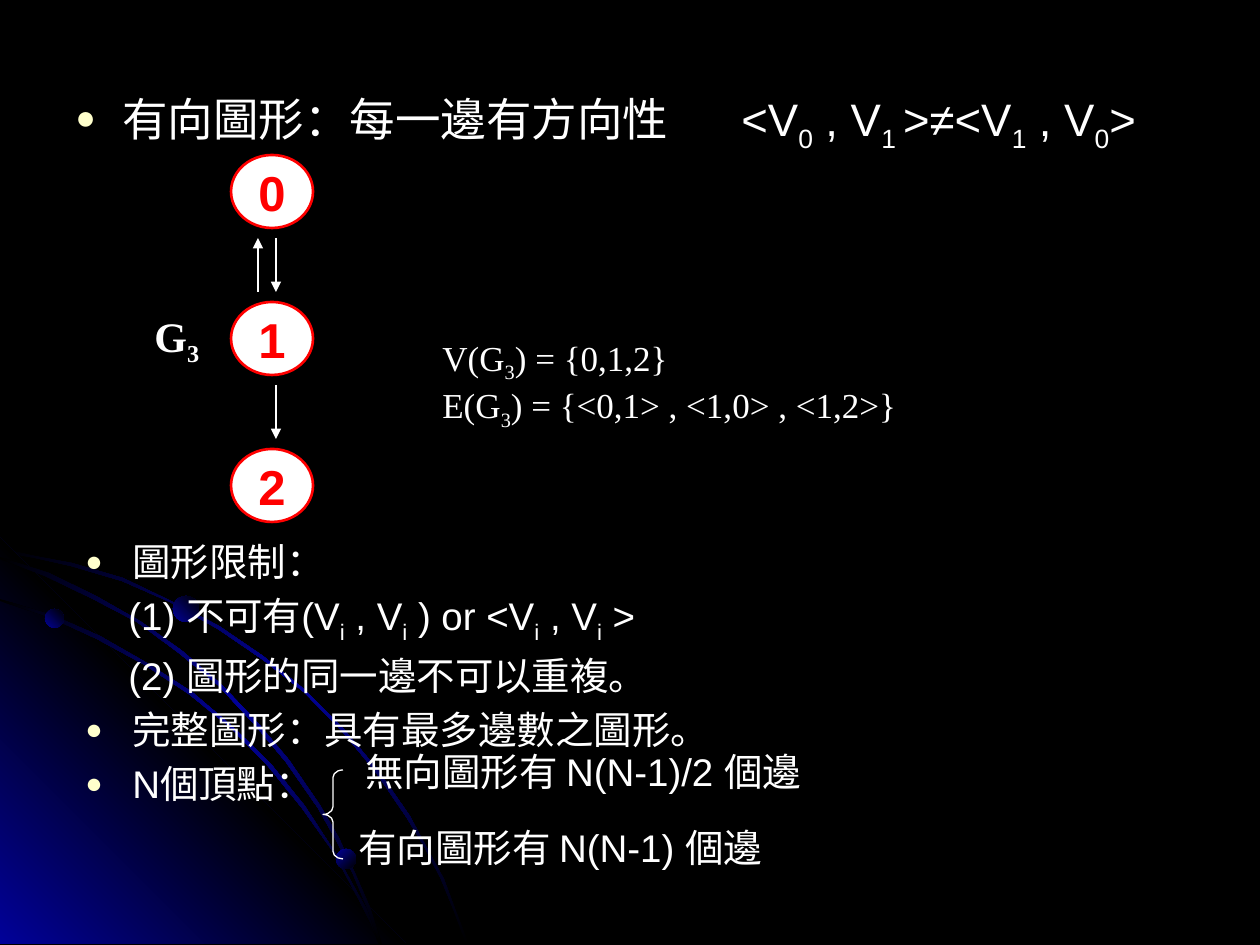
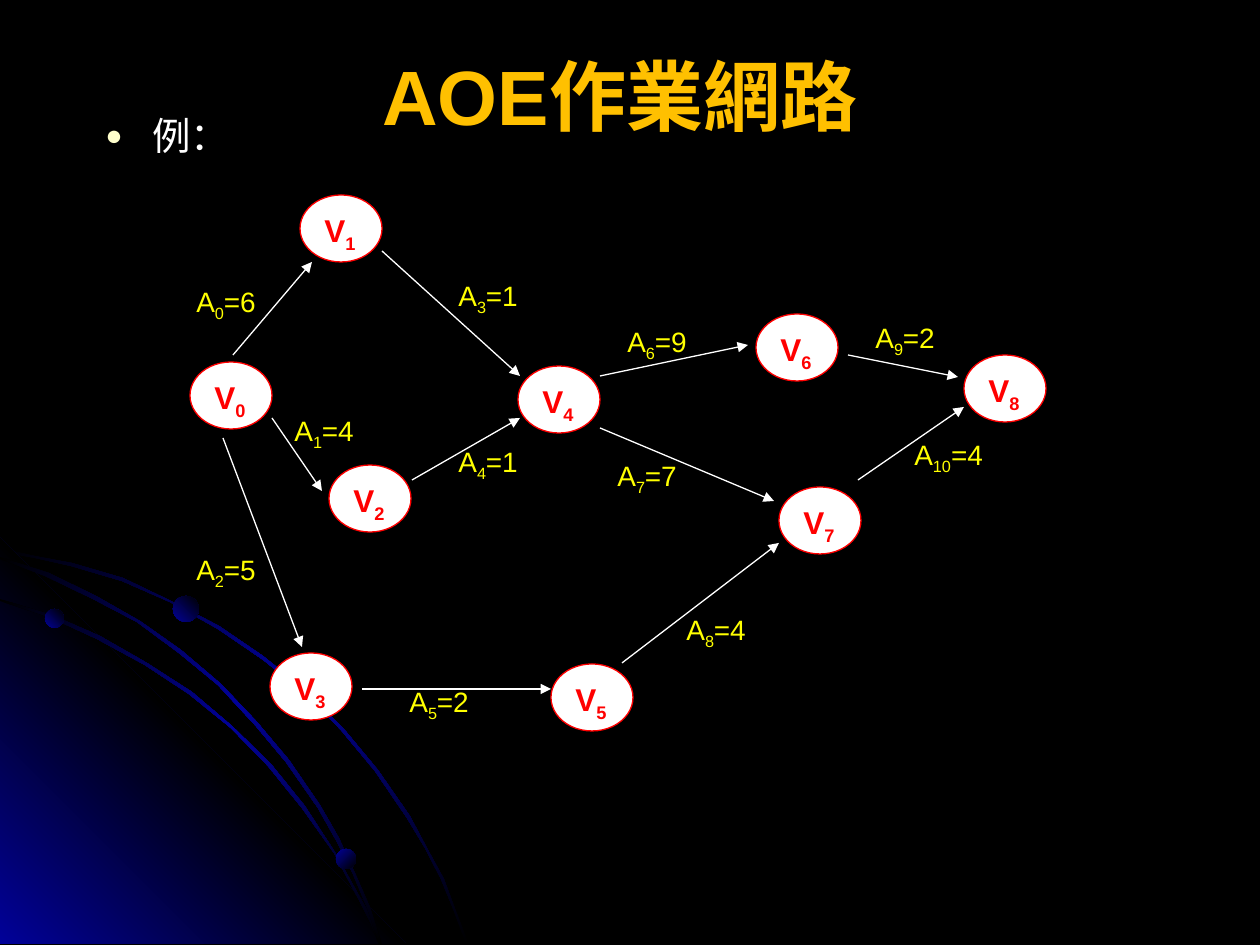
from lxml import etree
from pptx import Presentation
from pptx.dml.color import RGBColor
from pptx.enum.shapes import MSO_CONNECTOR as LINK, MSO_SHAPE as SHAPE
from pptx.enum.text import MSO_ANCHOR as ANCHOR, PP_ALIGN as ALIGN
from pptx.oxml.ns import qn
from pptx.util import Emu, Pt

PX = 914400 // 126  # EMU in one pixel
COLORS = {
    "black": "000000", "blue": "010199", "white": "FFFFFF", "red": "FF0000",
    "yellow": "FFFF00", "gold": "FFC000", "cream": "FFFFCC",
}
SANS, SERIF = "Arial", "Times New Roman"
HANG = 47  # hanging indent of bulleted text

# Backdrop: thin arcs that fade at both ends, a glowing corner, small planets
ARCS = [
    [(72, 563), (35, 556), (0, 548), (0, 552), (35, 558), (71, 566), (122, 581),
     (170, 602), (218, 629), (262, 659), (304, 692), (341, 730), (375, 771),
     (407, 818), (425, 848), (441, 879), (454, 911), (466, 944), (469, 944),
     (456, 911), (444, 879), (427, 848), (410, 816), (378, 770), (343, 728),
     (305, 690), (263, 656), (219, 626), (171, 601), (123, 578)],
    [(359, 900), (370, 922), (379, 944), (382, 944), (373, 920), (360, 897),
     (335, 852), (305, 806), (271, 764), (232, 726), (192, 692), (147, 663),
     (100, 636), (52, 615), (0, 599), (0, 601), (49, 617), (97, 639), (145, 665),
     (189, 694), (231, 728), (268, 766), (302, 808), (334, 853)],
    [(0, 557), (0, 559), (45, 576), (93, 599), (137, 622), (179, 653), (218, 685),
     (255, 725), (286, 762), (318, 808), (336, 840), (353, 874), (368, 910),
     (379, 944), (382, 944), (370, 907), (355, 873), (339, 838), (320, 805),
     (289, 760), (257, 722), (221, 684), (181, 650), (140, 621), (96, 596), (49, 573)],
]
CORNER = [(406, 944), (0, 944), (0, 538)]
PLANETS = [(45, 609, 19, 315), (336, 849, 20, 45), (173, 596, 26, 315)]


def rgb(name):
    return RGBColor.from_string(COLORS[name])


def px(*lengths):
    return [Emu(length * PX) for length in lengths]


class Deck:
    def __init__(self):
        self.prs = Presentation()
        self.prs.slide_width, self.prs.slide_height = px(1260, 945)
        self.slide = None

    def new_slide(self):
        self.slide = self.prs.slides.add_slide(self.prs.slide_layouts[6])
        self.slide.background.fill.solid()
        self.slide.background.fill.fore_color.rgb = rgb("black")
        for index, arc in enumerate(ARCS):
            self.outline(arc, ["black", "blue", "black"], 45)
            if index == 0:
                self.outline(CORNER, ["blue", "black", "blue"], 315)
        for x, y, size, angle in PLANETS:
            planet = self.slide.shapes.add_shape(SHAPE.OVAL, *px(x, y, size, size))
            self.gradient(planet, ["blue", "black"], angle)

    def gradient(self, shape, stops, angle):
        shape.shadow.inherit = False
        shape.line.fill.background()
        shape.fill.gradient()
        shape.fill.gradient_angle = 360 - angle  # counted counter-clockwise
        stop_list = shape._element.spPr.find(qn("a:gradFill")).find(qn("a:gsLst"))
        for old in list(stop_list):
            stop_list.remove(old)
        for index, color in enumerate(stops):
            position = 100000 * index // (len(stops) - 1)
            stop = etree.SubElement(stop_list, qn("a:gs"), pos=str(position))
            etree.SubElement(stop, qn("a:srgbClr"), val=COLORS[color])

    def outline(self, points, stops, angle):
        builder = self.slide.shapes.build_freeform(*points[0], scale=PX)
        builder.add_line_segments(points[1:], close=True)
        self.gradient(builder.convert_to_shape(), stops, angle)

    def add_runs(self, paragraph, text, size, color="white", font=SANS, bold=False):
        """Fill a paragraph; parts between ~ marks become subscripts."""
        for index, part in enumerate(text.split("~")):
            if not part:
                continue
            run = paragraph.add_run()
            run.text = part
            run.font.size, run.font.name, run.font.bold = Pt(size), font, bold
            run.font.color.rgb = rgb(color)
            if index % 2:
                run._r.get_or_add_rPr().set("baseline", "-25000")

    def text(self, box, lines, size, align=ALIGN.LEFT, anchor=ANCHOR.TOP, **style):
        frame = self.slide.shapes.add_textbox(*px(*box)).text_frame
        frame.word_wrap, frame.vertical_anchor = True, anchor
        for index, line in enumerate(lines):
            paragraph = frame.add_paragraph() if index else frame.paragraphs[0]
            paragraph.alignment = align
            self.add_runs(paragraph, line, size, **style)
        return frame

    def bullets(self, box, lines, size, spacing=1.0, tab=None):
        """Bulleted list; lines that open with a bracket are numbered sub-items."""
        frame = self.text(box, lines, size)
        for paragraph, line in zip(frame.paragraphs, lines):
            paragraph.line_spacing = spacing
            paragraph.space_before = Pt(size * 0.2)
            props = paragraph._p.get_or_add_pPr()
            if line.startswith("("):
                props.set("marL", str(43 * PX))
                continue
            props.set("marL", str(HANG * PX))
            props.set("indent", str(-HANG * PX))
            tint = etree.SubElement(props, qn("a:buClr"))
            etree.SubElement(tint, qn("a:srgbClr"), val=COLORS["cream"])
            etree.SubElement(props, qn("a:buSzPct"), val="75000")
            etree.SubElement(props, qn("a:buFont"), typeface=SANS)
            etree.SubElement(props, qn("a:buChar"), char="●")
            if tab:
                stops = etree.SubElement(props, qn("a:tabLst"))
                etree.SubElement(stops, qn("a:tab"), pos=str(tab * PX), algn="l")

    def node(self, box, label, size, border, kind=SHAPE.OVAL, centred=False):
        node = self.slide.shapes.add_shape(kind, *px(*box))
        node.shadow.inherit = False
        node.fill.solid()
        node.fill.fore_color.rgb = rgb("white")
        node.line.color.rgb, node.line.width = rgb("red"), Pt(border)
        frame = node.text_frame
        frame.word_wrap = not centred
        frame.vertical_anchor = ANCHOR.MIDDLE if centred else ANCHOR.TOP
        paragraph = frame.paragraphs[0]
        paragraph.alignment = ALIGN.CENTER if centred else ALIGN.LEFT
        self.add_runs(paragraph, label, size, "red", bold=True)

    def arrow(self, *ends):
        arrow = self.slide.shapes.add_connector(LINK.STRAIGHT, *px(*ends))
        arrow.line.color.rgb, arrow.line.width = rgb("white"), Pt(0.75)
        props = arrow._element.spPr
        etree.SubElement(props.find(qn("a:ln")), qn("a:tailEnd"), type="triangle")
        etree.SubElement(props, qn("a:effectLst"))

    def brace(self, box):
        brace = self.slide.shapes.add_shape(SHAPE.LEFT_BRACE, *px(*box))
        brace.shadow.inherit = False
        brace.adjustments[0], brace.adjustments[1] = 0.38, 0.5
        brace.fill.background()
        brace.line.color.rgb, brace.line.width = rgb("white"), Pt(0.75)


deck = Deck()

# Slide 1: directed graphs
deck.new_slide()
deck.bullets((63, 86, 1134, 79),
             ["有向圖形：每一邊有方向性\t<V~0~ , V~1 ~>≠<V~1~ , V~0~>"],
             26, spacing=0.9, tab=666)

# Graph G3
for vertex in range(3):
    deck.node((231, 155 + 147 * vertex, 82, 73), str(vertex), 28, 1.5,
              SHAPE.FLOWCHART_CONNECTOR, centred=True)
for ends in [(276, 238, 276, 292), (258, 292, 258, 238), (276, 385, 276, 439)]:
    deck.arrow(*ends)
deck.text((142, 304, 72, 63), ["G~3~"], 24, font=SERIF, bold=True)
deck.text((430, 330, 756, 97),
          ["V(G~3~) = {0,1,2}", "E(G~3~) = {<0,1> , <1,0> , <1,2>}"], 20, font=SERIF)

# Restrictions and number of edges
deck.bullets((73, 532, 736, 287), [
    "圖形限制：",
    "(1) 不可有(V~i~ , V~i~ ) or <V~i~ , V~i~ >",
    "(2) 圖形的同一邊不可以重複。",
    "完整圖形：具有最多邊數之圖形。",
    "N個頂點：",
], 22)
deck.brace((323, 770, 20, 89))
deck.text((353, 742, 500, 64), ["無向圖形有 N(N-1)/2 個邊"], 22)
deck.text((346, 818, 500, 64), ["有向圖形有 N(N-1) 個邊"], 22)

# Slide 2: activity-on-edge network
deck.new_slide()
deck.bullets((93, 106, 160, 59), ["例："], 22)

# Activities: arrow ends, label corner, duration
ACTIVITIES = [
    ((233, 355, 312, 262), (184, 278), 6),
    ((272, 418, 322, 491), (282, 407), 4),
    ((223, 438, 302, 647), (184, 546), 5),
    ((382, 251, 520, 376), (446, 272), 1),
    ((412, 480, 520, 418), (446, 438), 1),
    ((362, 689, 551, 689), (397, 678), 2),
    ((600, 376, 748, 345), (615, 318), 9),
    ((600, 428, 774, 501), (605, 452), 7),
    ((622, 663, 779, 543), (674, 606), 4),
    ((848, 355, 958, 377), (863, 314), 2),
    ((858, 480, 964, 407), (902, 431), 4),
]
for ends, _, _ in ACTIVITIES:
    deck.arrow(*ends)

# Events
EVENTS = [(190, 362), (300, 195), (329, 465), (270, 653), (518, 366),
          (551, 664), (756, 314), (779, 487), (964, 355)]
for number, corner in enumerate(EVENTS):
    deck.node((*corner, 82, 67), f"V~{number}~", 18, 0.75)

for number, (_, corner, duration) in enumerate(ACTIVITIES):
    deck.text((*corner, 100, 47), [f"A~{number}~={duration}"], 16, color="yellow")

deck.text((53, 16, 1134, 158), ["AOE作業網路"], 44, ALIGN.CENTER, ANCHOR.MIDDLE,
          color="gold", bold=True)

deck.prs.save("out.pptx")
